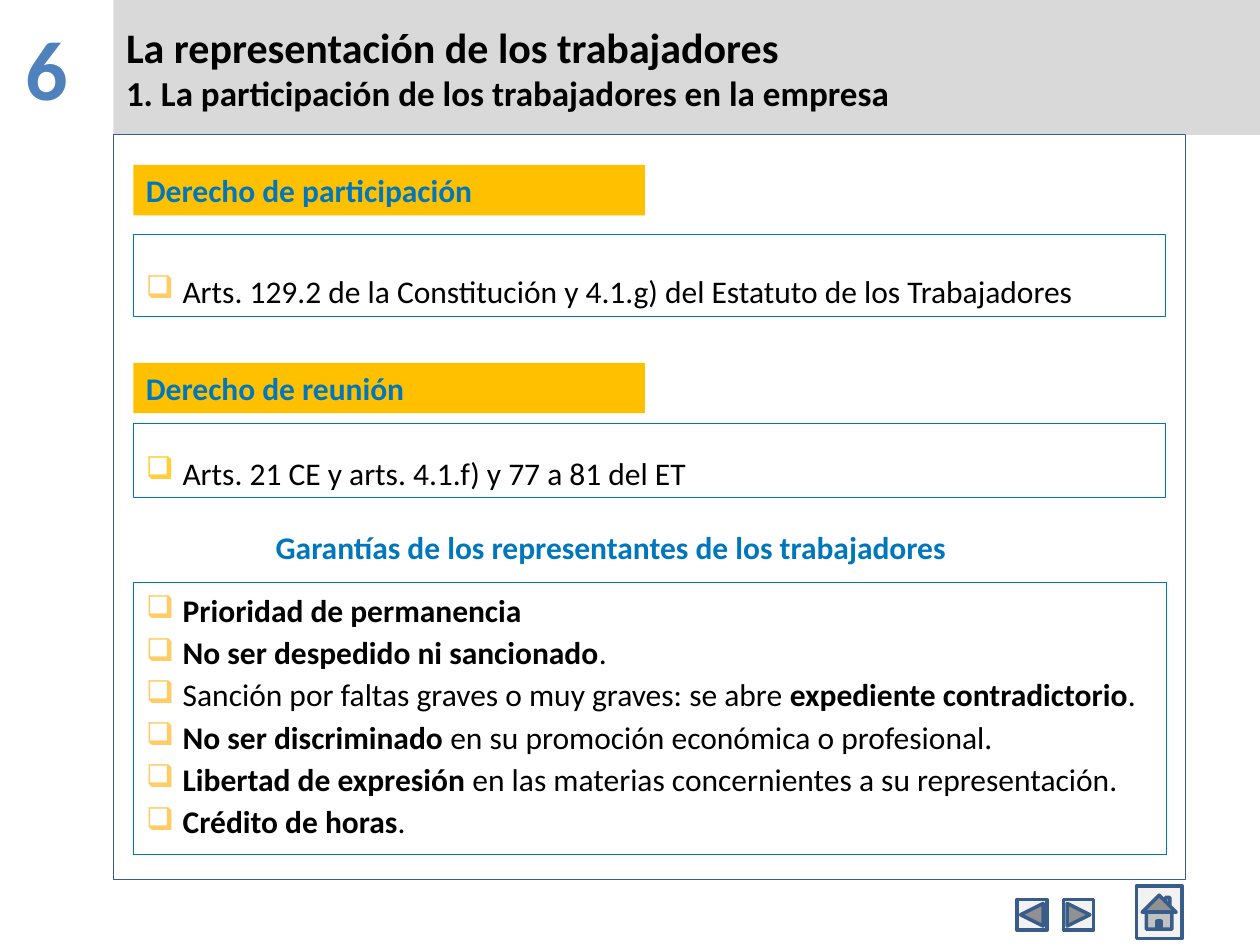
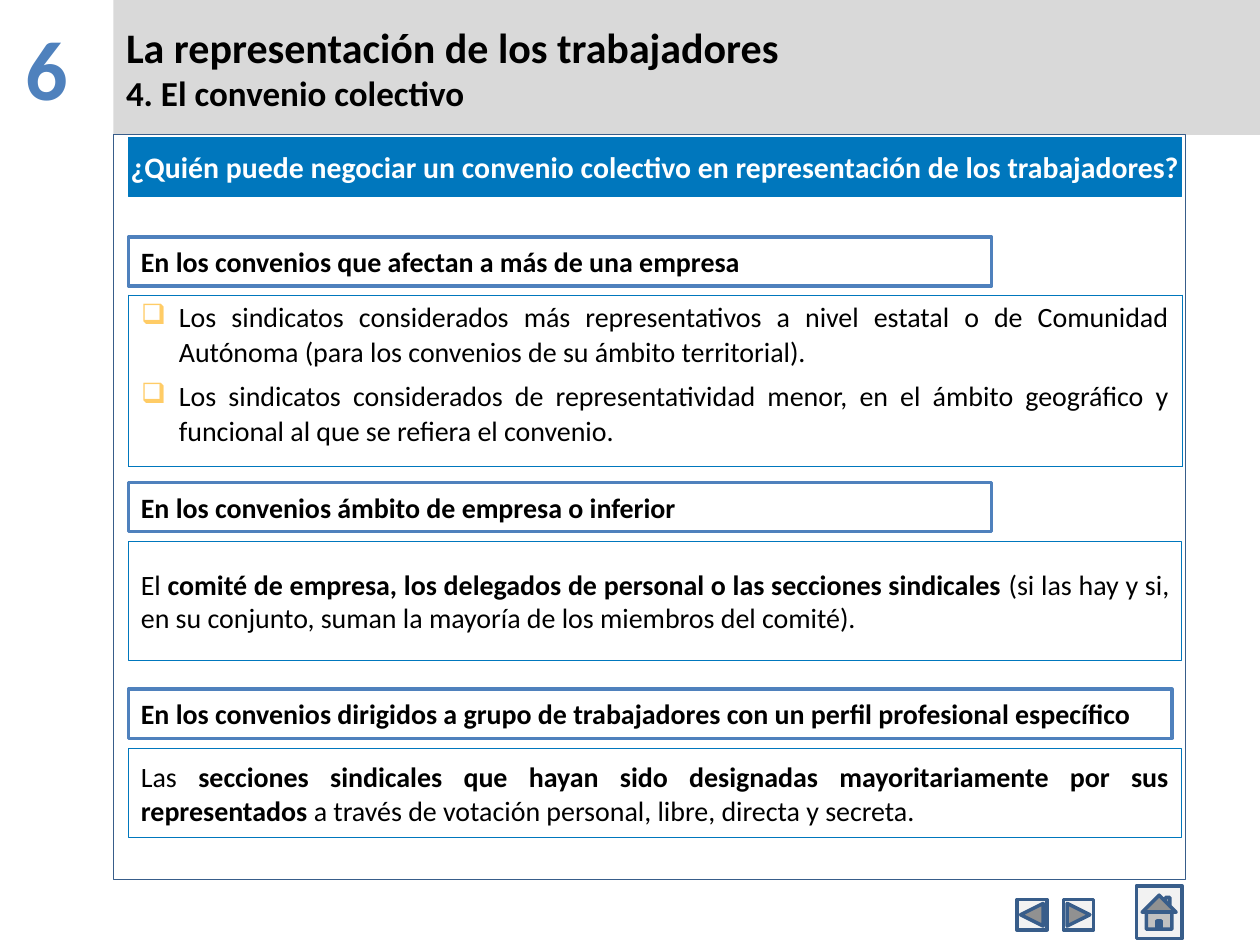
from lxml import etree
from pptx import Presentation
from pptx.dml.color import RGBColor
from pptx.enum.shapes import MSO_SHAPE
from pptx.enum.text import MSO_ANCHOR, MSO_AUTO_SIZE, PP_ALIGN
from pptx.oxml.ns import qn
from pptx.util import Inches, Pt

RECTANGLE = MSO_SHAPE.RECTANGLE
BACK_BUTTON = MSO_SHAPE.ACTION_BUTTON_BACK_OR_PREVIOUS
NEXT_BUTTON = MSO_SHAPE.ACTION_BUTTON_FORWARD_OR_NEXT
HOME_BUTTON = MSO_SHAPE.ACTION_BUTTON_HOME
LEFT, CENTER, JUSTIFY = PP_ALIGN.LEFT, PP_ALIGN.CENTER, PP_ALIGN.JUSTIFY
MIDDLE, TOP = MSO_ANCHOR.MIDDLE, MSO_ANCHOR.TOP
NO_AUTOFIT = MSO_AUTO_SIZE.NONE

FONT = "Calibri"
BLACK, WHITE, GRAY, LIGHT_GRAY = "000000", "FFFFFF", "D9D9D9", "F2F2F2"
BLUE, NAVY, STEEL = "0077BD", "385D8A", "4F81BD"
AMBER, PALE_AMBER, YELLOW = "FFC000", "FFCC66", "FFD03B"


def add_box(slide, kind, box, fill=None, line=None, width=0.75):
    shape = slide.shapes.add_shape(kind, *[Inches(value) for value in box])
    shape.shadow.inherit = False
    if fill:
        shape.fill.solid()
        shape.fill.fore_color.rgb = RGBColor.from_string(fill)
    else:
        shape.fill.background()
    if line:
        shape.line.color.rgb = RGBColor.from_string(line)
        shape.line.width = Pt(width)
    else:
        shape.line.fill.background()
    return shape


def write_text(frame, texts, size, color=BLACK, align=LEFT, bullet=None,
               indent=0.29, spacing=None, after=0):
    # Asterisks enclose bold words.
    frame.word_wrap = True
    for index, text in enumerate(texts):
        paragraph = frame.paragraphs[0] if index == 0 else frame.add_paragraph()
        paragraph.alignment = align
        paragraph.space_after = Pt(after)
        if spacing:
            paragraph.line_spacing = spacing
        if bullet:
            properties = paragraph._p.get_or_add_pPr()
            properties.set("marL", str(Inches(indent)))
            properties.set("indent", str(-Inches(indent)))
            bullet_color = etree.SubElement(properties, qn("a:buClr"))
            etree.SubElement(bullet_color, qn("a:srgbClr"), val=bullet)
            etree.SubElement(properties, qn("a:buChar"), char="❑")
        paragraph.font.name = FONT
        paragraph.font.size = Pt(size)
        paragraph.font.color.rgb = RGBColor.from_string(color)
        parts = text.split("*")
        all_bold = len(parts) == 3 and not parts[0] and not parts[2]
        paragraph.font.bold = all_bold
        for position, part in enumerate(parts):
            if part:
                run = paragraph.add_run()
                run.text = part
                if position % 2 and not all_bold:
                    run.font.bold = True


presentation = Presentation()
presentation.slide_width = Inches(10)
presentation.slide_height = Inches(7.5)

slides = []
for section in ["1. La participación de los trabajadores en la empresa",
                "4. El convenio colectivo"]:
    slide = presentation.slides.add_slide(presentation.slide_layouts[5])
    slides.append(slide)

    title = slide.shapes.title
    title.left, title.top = Inches(0.9), Inches(0)
    title.width, title.height = Inches(9.1), Inches(1.07)
    title.fill.solid()
    title.fill.fore_color.rgb = RGBColor.from_string(GRAY)
    title.text_frame.auto_size = NO_AUTOFIT
    title.text_frame.vertical_anchor = MIDDLE
    write_text(title.text_frame, ["*La representación de los trabajadores*", f"*{section}*"], 24)
    title.text_frame.paragraphs[1].font.size = Pt(20)

    number = slide.shapes.add_textbox(Inches(0), Inches(0.08), Inches(0.74), Inches(0.92))
    write_text(number.text_frame, ["*6*"], 48, STEEL, CENTER)

    add_box(slide, RECTANGLE, (0.9, 1.07, 8.51, 5.91), line=NAVY)
    for kind, box in [(BACK_BUTTON, (8.07, 7.14, 0.24, 0.24)),
                      (NEXT_BUTTON, (8.44, 7.14, 0.24, 0.24)),
                      (HOME_BUTTON, (9.02, 7.03, 0.36, 0.42))]:
        add_box(slide, kind, box, LIGHT_GRAY, NAVY, 2)

rights_slide, agreement_slide = slides

for heading, top in [("Derecho de participación", 1.31), ("Derecho de reunión", 2.88)]:
    shape = add_box(rights_slide, RECTANGLE, (1.06, top, 4.06, 0.4), AMBER)
    shape.text_frame.vertical_anchor = TOP
    write_text(shape.text_frame, [f"*{heading}*"], 18, BLUE)

for text, top, height, inset, spacing, bullet in [
    ("Arts. 129.2 de la Constitución y 4.1.g) del Estatuto de los Trabajadores",
     1.86, 0.65, 0.27, 1.1, PALE_AMBER),
    ("Arts. 21 CE y arts. 4.1.f) y 77 a 81 del ET", 3.36, 0.59, 0.24, 1.0, YELLOW),
]:
    shape = add_box(rights_slide, RECTANGLE, (1.06, top, 8.19, height), line=BLUE)
    shape.text_frame.vertical_anchor = MIDDLE
    shape.text_frame.margin_top = Inches(inset)
    write_text(shape.text_frame, [text], 18, align=JUSTIFY, bullet=bullet, spacing=spacing)

guarantees_heading = rights_slide.shapes.add_textbox(
    Inches(2.09), Inches(4.14), Inches(6.56), Inches(0.4))
write_text(guarantees_heading.text_frame,
           ["*Garantías de los representantes de los trabajadores*"], 18, BLUE)

question = add_box(agreement_slide, RECTANGLE, (1.02, 1.09, 8.36, 0.47), BLUE, BLUE)
question.text_frame.vertical_anchor = MIDDLE
write_text(question.text_frame,
           ["*¿Quién puede negociar un convenio colectivo en representación de los trabajadores?*"],
           17, WHITE, CENTER)
question.text_frame.word_wrap = False

for heading, top, width in [
    ("En los convenios que afectan a más de una empresa", 1.88, 6.85),
    ("En los convenios ámbito de empresa o inferior", 3.83, 6.85),
    ("En los convenios dirigidos a grupo de trabajadores con un perfil profesional específico",
     5.47, 8.28),
]:
    shape = add_box(agreement_slide, RECTANGLE, (1.02, top, width, 0.39), WHITE, STEEL, 2)
    shape.text_frame.vertical_anchor = MIDDLE
    write_text(shape.text_frame, [f"*{heading}*"], 16)

for text, top, height in [
    ("El *comité de empresa, los delegados de personal o las secciones sindicales* "
     "(si las hay y si, en su conjunto, suman la mayoría de los miembros del comité).",
     4.3, 0.94),
    ("Las *secciones sindicales que hayan sido designadas mayoritariamente por sus "
     "representados* a través de votación personal, libre, directa y secreta.", 5.94, 0.71),
]:
    shape = add_box(agreement_slide, RECTANGLE, (1.02, top, 8.36, height), line=BLUE)
    shape.text_frame.vertical_anchor = MIDDLE
    write_text(shape.text_frame, [text], 16, align=JUSTIFY)

guarantees = [
    "*Prioridad de permanencia*",
    "*No ser despedido ni sancionado*.",
    "Sanción por faltas graves o muy graves: se abre *expediente contradictorio*.",
    "*No ser discriminado* en su promoción económica o profesional.",
    "*Libertad de expresión* en las materias concernientes a su representación.",
    "*Crédito de horas*.",
]
unions = [
    "Los sindicatos considerados más representativos a nivel estatal o de Comunidad Autónoma "
    "(para los convenios de su ámbito territorial).",
    "Los sindicatos considerados de representatividad menor, en el ámbito geográfico y "
    "funcional al que se refiera el convenio.",
]
for slide, box, texts, size, indent, spacing, after in [
    (rights_slide, (1.06, 4.62, 8.2, 2.16), guarantees, 18, 0.29, 1.1, 0),
    (agreement_slide, (1.02, 2.34, 8.36, 1.36), unions, 16, 0.3, 1.0, 6),
]:
    table = slide.shapes.add_table(1, 1, *[Inches(value) for value in box]).table
    table.first_row = False
    table.horz_banding = False
    cell = table.cell(0, 0)
    cell_properties = cell._tc.get_or_add_tcPr()
    for side in ["a:lnL", "a:lnR", "a:lnT", "a:lnB"]:
        border = etree.SubElement(cell_properties, qn(side), w=str(Pt(0.45)))
        border_fill = etree.SubElement(border, qn("a:solidFill"))
        etree.SubElement(border_fill, qn("a:srgbClr"), val=BLUE)
    cell.fill.background()
    write_text(cell.text_frame, texts, size, align=JUSTIFY, bullet=PALE_AMBER,
               indent=indent, spacing=spacing, after=after)

presentation.save("out.pptx")
